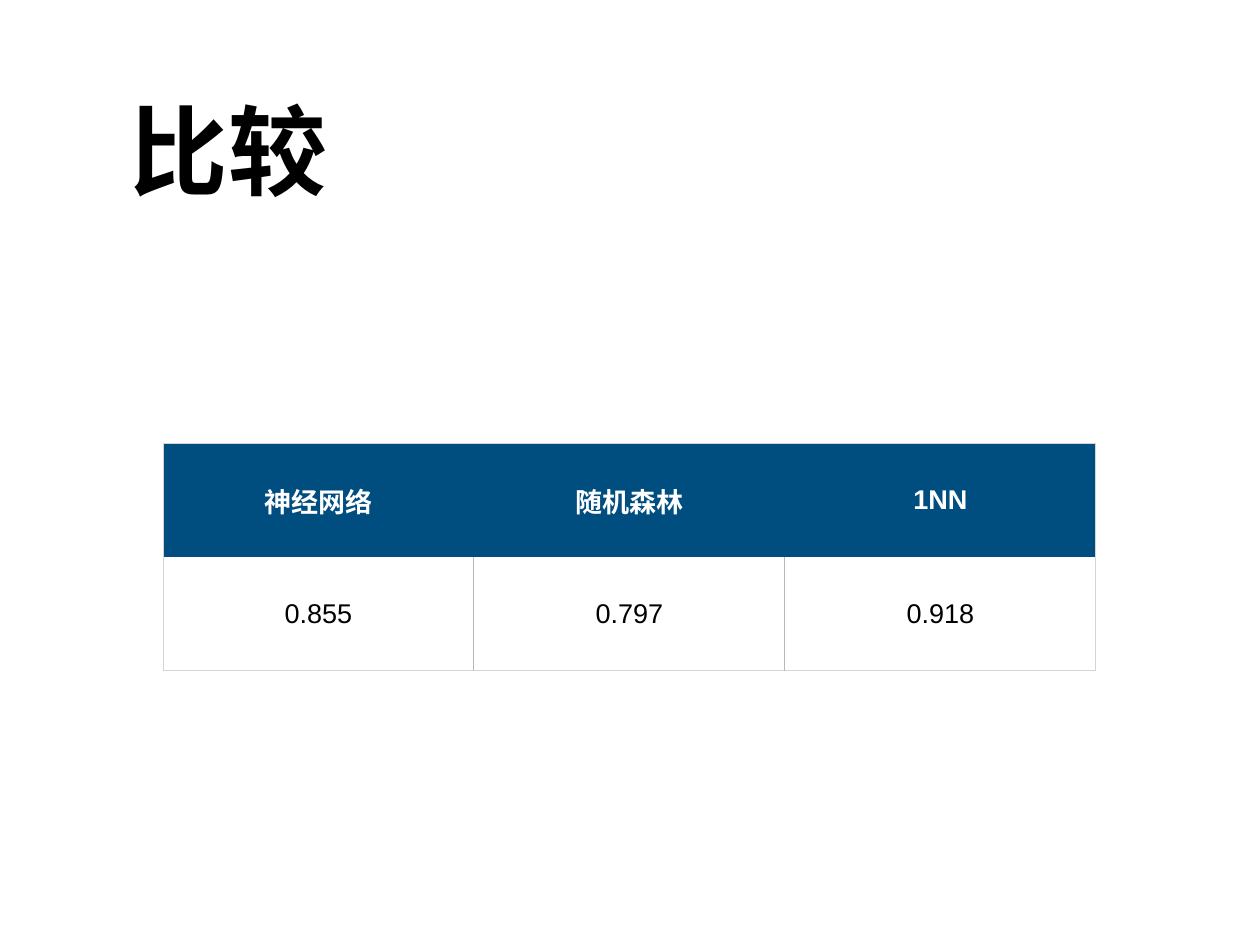
import pptx
import pptx.util
import pptx.dml.color
import pptx.enum.text
from lxml import etree

Pt = pptx.util.Pt
RGB = pptx.dml.color.RGBColor.from_string
MIDDLE = pptx.enum.text.MSO_ANCHOR.MIDDLE
CENTER = pptx.enum.text.PP_ALIGN.CENTER

THEME = {
    "font": "Arial",
    "title": {"size": Pt(80), "bold": True, "color": "000000"},
    "header": {"size": Pt(22), "bold": True, "color": "FFFFFF"},
    "body": {"size": Pt(22), "bold": False, "color": "000000"},
    "fills": {"header": "004D80", "body": "FFFFFF"},
    "outer": "D6D5D5",
    "inner": "B8B8B8",
}
INSETS = {f"margin_{side}": Pt(4) for side in ("left", "right", "top", "bottom")}


def write(tf, text, style):
    p = tf.paragraphs[0]
    p.alignment = CENTER
    r = p.add_run()
    r.text = text
    r.font.name = THEME["font"]
    r.font.size = style["size"]
    r.font.bold = style["bold"]
    r.font.color.rgb = RGB(style["color"])


def set_border(cell, side, color):
    """Draw a 1 pt cell border on side L, R, T or B, or none if color is None."""
    ns = "{http://schemas.openxmlformats.org/drawingml/2006/main}"
    ln = etree.SubElement(cell._tc.get_or_add_tcPr(), f"{ns}ln{side}", w=str(Pt(1)))
    if color:
        fill = etree.SubElement(ln, f"{ns}solidFill")
        etree.SubElement(fill, f"{ns}srgbClr", val=color)
    else:
        etree.SubElement(ln, f"{ns}noFill")


prs = pptx.Presentation()
prs.slide_width, prs.slide_height = Pt(1024), Pt(768)
s = prs.slides.add_slide(prs.slide_layouts[5])

# Title
title = s.shapes.title
title.left, title.top, title.width, title.height = Pt(101), Pt(61), Pt(169), Pt(120)
tf = title.text_frame
title_format = {"word_wrap": False, "vertical_anchor": MIDDLE,
                "auto_size": pptx.enum.text.MSO_AUTO_SIZE.NONE, **INSETS}
for name, value in title_format.items():
    setattr(tf, name, value)
write(tf, "比较", THEME["title"])

# Comparison table
rows = [
    ("header", ["神经网络", "随机森林", "1NN"]),
    ("body", ["0.855", "0.797", "0.918"]),
]
table = s.shapes.add_table(2, 3, Pt(132.5), Pt(360.5), Pt(758.1), Pt(184.6)).table
for col in table.columns:
    col.width = Pt(252.7)
for row in table.rows:
    row.height = Pt(92.3)

for i, (kind, texts) in enumerate(rows):
    between = THEME["inner"] if kind == "body" else None
    for j, text in enumerate(texts):
        cell = table.cell(i, j)
        for name, value in {"vertical_anchor": MIDDLE, **INSETS}.items():
            setattr(cell, name, value)
        set_border(cell, "L", THEME["outer"] if j == 0 else between)
        set_border(cell, "R", THEME["outer"] if j == len(texts) - 1 else between)
        set_border(cell, "T", THEME["outer"] if i == 0 else None)
        set_border(cell, "B", THEME["outer"] if i == len(rows) - 1 else None)
        cell.fill.solid()
        cell.fill.fore_color.rgb = RGB(THEME["fills"][kind])
        write(cell.text_frame, text, THEME[kind])

prs.save("out.pptx")
